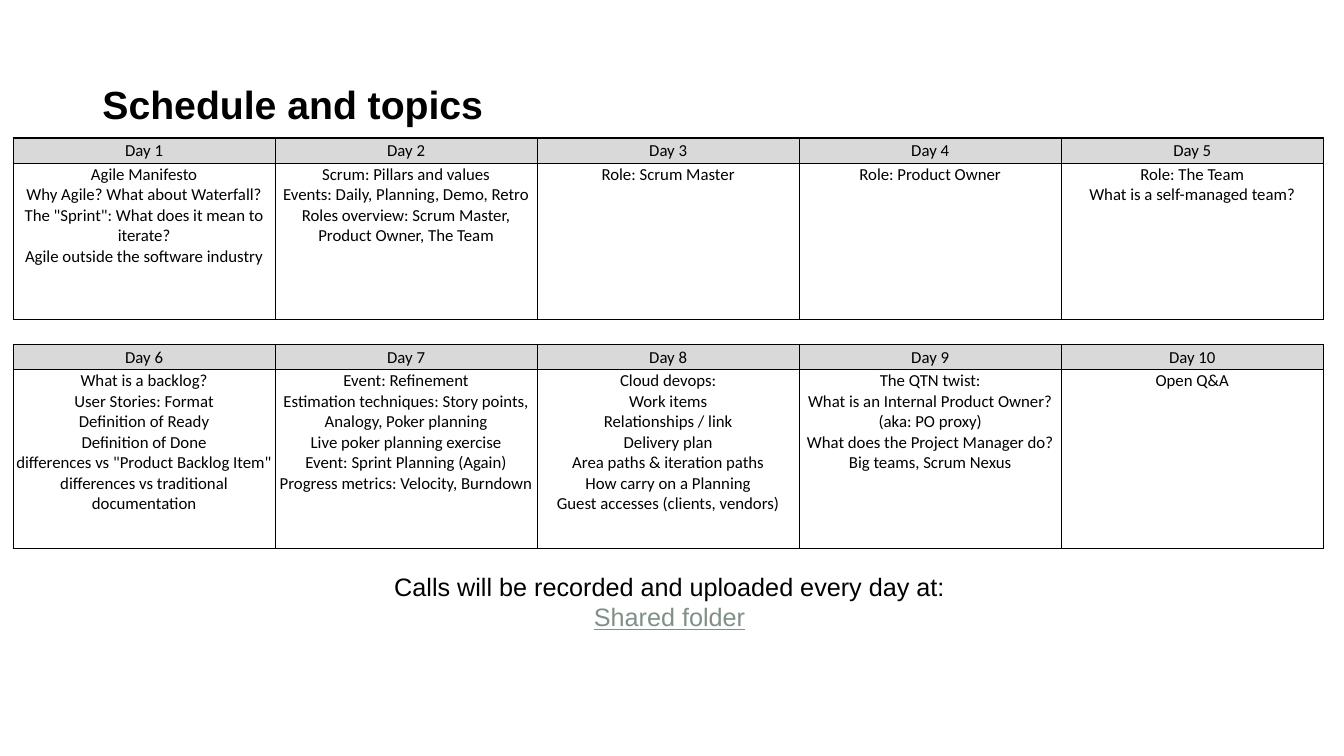
from lxml.etree import SubElement
from pptx import Presentation
from pptx.dml.color import RGBColor
from pptx.enum.text import MSO_ANCHOR, PP_ALIGN
from pptx.oxml.ns import qn
from pptx.util import Pt

COLORS = {"text": "000000", "border": "000000", "header": "D9D9D9", "link": "809086"}

WEEKS = [
    [
        ("Day 1", ["Agile Manifesto", "Why Agile? What about Waterfall?",
                   'The "Sprint": What does it mean to iterate?',
                   "Agile outside the software industry"]),
        ("Day 2", ["Scrum: Pillars and values", "Events: Daily, Planning, Demo, Retro",
                   "Roles overview: Scrum Master, Product Owner, The Team"]),
        ("Day 3", ["Role: Scrum Master"]),
        ("Day 4", ["Role: Product Owner"]),
        ("Day 5", ["Role: The Team", "What is a self-managed team?"]),
    ],
    [
        ("Day 6", ["What is a backlog?", "User Stories: Format", "Definition of Ready",
                   "Definition of Done", 'differences vs "Product Backlog Item"',
                   "differences vs traditional documentation"]),
        ("Day 7", ["Event: Refinement",
                   "Estimation techniques: Story points, Analogy, Poker planning",
                   "Live poker planning exercise", "Event: Sprint Planning (Again)",
                   "Progress metrics: Velocity, Burndown"]),
        ("Day 8", ["Cloud devops:", "Work items", "Relationships / link", "Delivery plan",
                   "Area paths & iteration paths", "How carry on a Planning",
                   "Guest accesses (clients, vendors)"]),
        ("Day 9", ["The QTN twist:", "What is an Internal Product Owner? (aka: PO proxy)",
                   "What does the Project Manager do?", "Big teams, Scrum Nexus"]),
        ("Day 10", ["Open Q&A"]),
    ],
]
ROW_HEIGHTS = [18, 111.6, 18, 18, 127.8]
SPACER_ROW = 2
SPAN = 3


def set_font(p, name, size, color, bold=False, underline=False):
    p.font.name = name
    p.font.size = Pt(size)
    p.font.bold = bold
    p.font.underline = underline
    p.font.color.rgb = RGBColor.from_string(COLORS[color])


def set_borders(cell, sides):
    tc_pr = cell._tc.get_or_add_tcPr()
    for side in "LRTB":
        ln = SubElement(tc_pr, qn(f"a:ln{side}"), w=str(Pt(1)))
        if side in sides:
            fill = SubElement(ln, qn("a:solidFill"))
            SubElement(fill, qn("a:srgbClr"), val=COLORS["border"])
        else:
            SubElement(ln, qn("a:noFill"))


def fill_cell(cell, lines, sides="LRTB", header=False):
    cell.margin_left = cell.margin_right = cell.margin_top = Pt(0.7)
    cell.margin_bottom = Pt(0)
    cell.vertical_anchor = MSO_ANCHOR.MIDDLE if header else MSO_ANCHOR.TOP
    set_borders(cell, sides)
    if header:
        cell.fill.solid()
        cell.fill.fore_color.rgb = RGBColor.from_string(COLORS["header"])
    else:
        cell.fill.background()
    p = cell.text_frame.paragraphs[0]
    p.text = "\v".join(lines)
    p.alignment = PP_ALIGN.CENTER
    set_font(p, "Calibri", 12, "text")
    for br in p._p.findall(qn("a:br")):
        SubElement(br, qn("a:rPr"), sz="1200")
    if not lines:
        SubElement(p._p, qn("a:endParaRPr"), sz="1200")


def fill_span(table, row, col, lines, header=False):
    cells = [table.cell(row, col + i) for i in range(SPAN)]
    cells[0].merge(cells[-1])
    for cell in cells:
        fill_cell(cell, [] if cell.is_spanned else lines, header=header)


def add_title(slide, left, top, width, height):
    title = slide.shapes.title
    title.left, title.top, title.width, title.height = map(Pt, (left, top, width, height))
    tf = title.text_frame
    tf.vertical_anchor = MSO_ANCHOR.MIDDLE
    p = tf.paragraphs[0]
    p.text = "Schedule and topics"
    p.alignment = PP_ALIGN.LEFT
    p.line_spacing = 0.9
    set_font(p, "Arial", 28, "text", bold=True)


def add_schedule(slide, left, top, width):
    columns = len(WEEKS[0]) * SPAN
    frame = slide.shapes.add_table(len(ROW_HEIGHTS), columns, Pt(left), Pt(top),
                                   Pt(width), Pt(sum(ROW_HEIGHTS)))
    table = frame.table
    table.first_row = table.horz_banding = False
    for column in table.columns:
        column.width = Pt(width / columns)
    for row, height in zip(table.rows, ROW_HEIGHTS):
        row.height = Pt(height)
    for w, week in enumerate(WEEKS):
        header_row = w * (SPACER_ROW + 1)
        for d, (day, topics) in enumerate(week):
            fill_span(table, header_row, d * SPAN, [day], header=True)
            fill_span(table, header_row + 1, d * SPAN, topics)
    for c in range(columns):
        fill_cell(table.cell(SPACER_ROW, c), [], sides="TB")


def add_recording_note(slide, left, top, width, height):
    box = slide.shapes.add_textbox(Pt(left), Pt(top), Pt(width), Pt(height))
    tf = box.text_frame
    tf.word_wrap = False
    tf.text = "Calls will be recorded and uploaded every day at:\nShared folder"
    note, folder = tf.paragraphs
    set_font(note, "Arial", 18, "text")
    folder.alignment = PP_ALIGN.CENTER
    set_font(folder, "Arial", 18, "link", underline=True)


def main():
    prs = Presentation()
    prs.slide_width, prs.slide_height = Pt(960), Pt(540)
    s = prs.slides.add_slide(prs.slide_layouts[5])
    add_title(s, 66, 54.5, 828, 44)
    add_schedule(s, 9.36, 98.6, 936)
    add_recording_note(s, 274.5, 404.5, 411, 51)
    prs.save("out.pptx")


if __name__ == "__main__":
    main()
